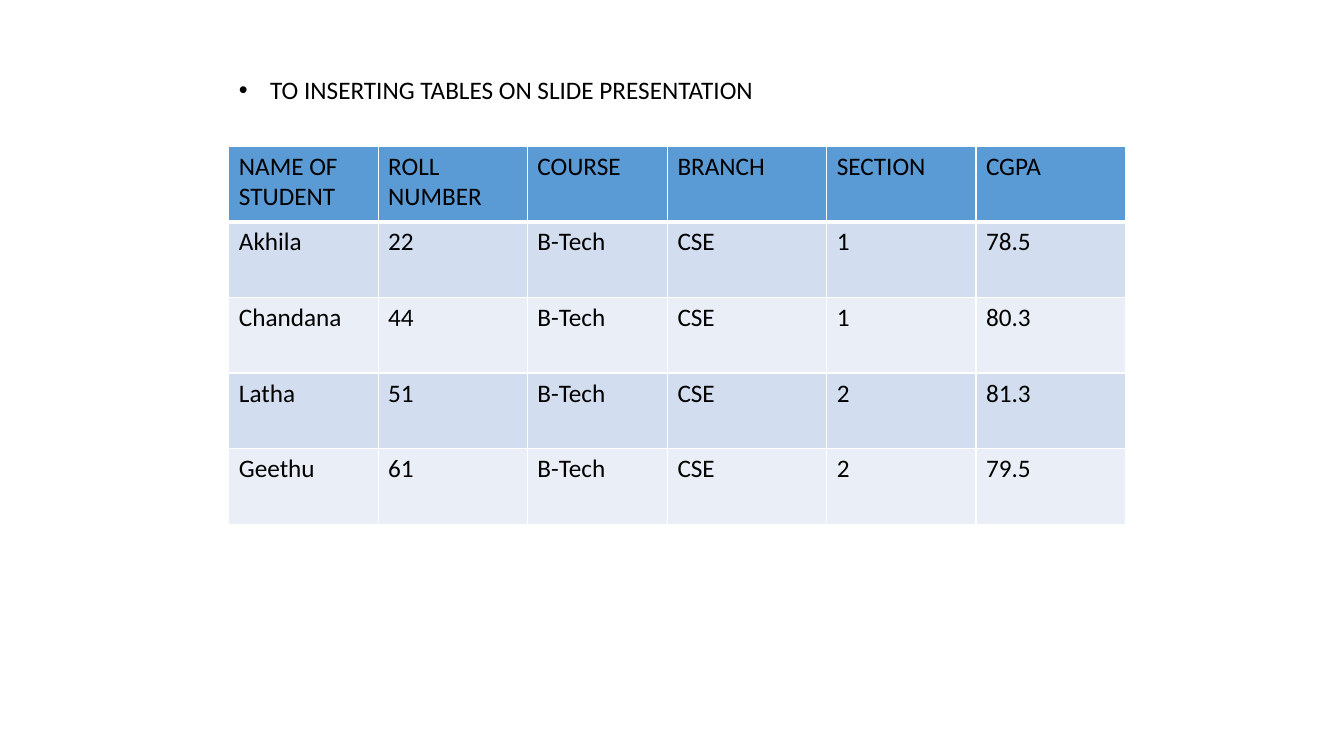
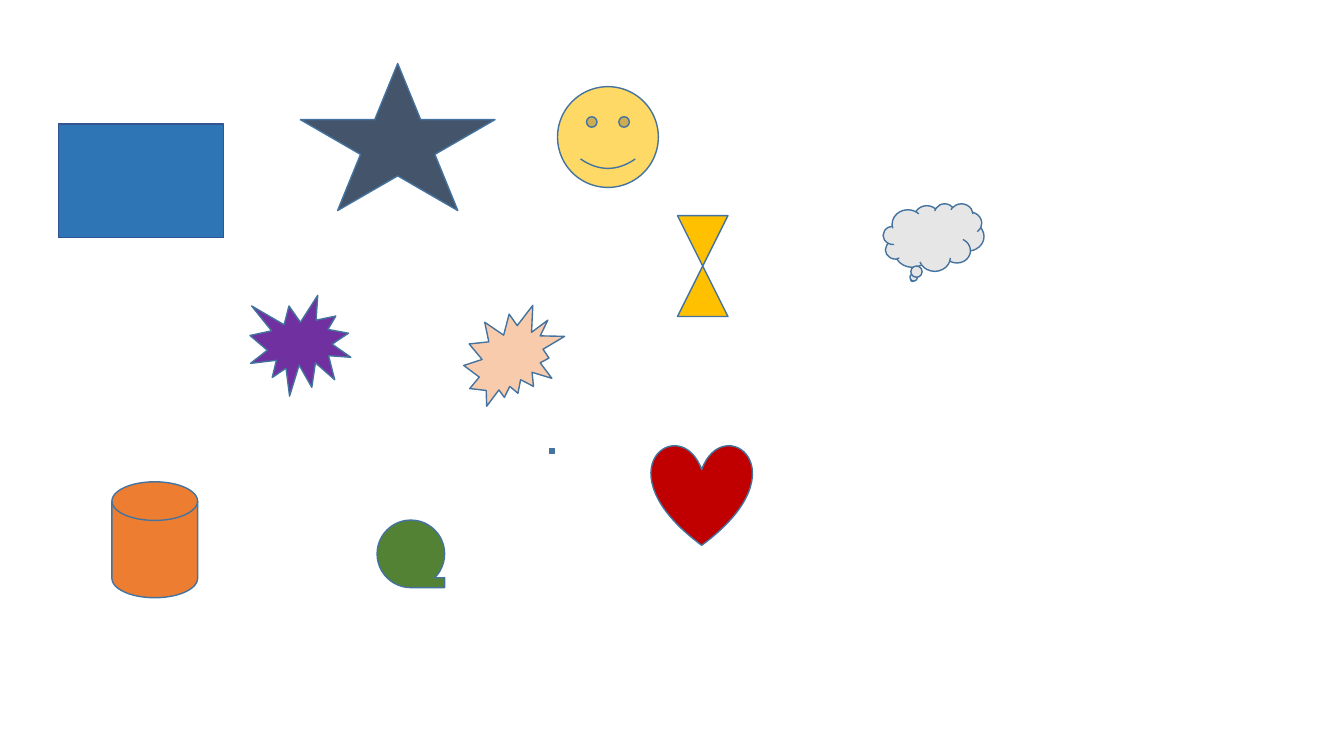
from lxml import etree
from pptx import Presentation
from pptx.dml.color import RGBColor
from pptx.enum.shapes import MSO_SHAPE
from pptx.enum.text import MSO_ANCHOR, MSO_AUTO_SIZE, PP_ALIGN
from pptx.oxml.ns import qn
from pptx.util import Inches, Pt

TITLE_ONLY, BLANK = 5, 6
LEFT, TOP = PP_ALIGN.LEFT, MSO_ANCHOR.TOP

# Shared style
FONT = "Calibri"
TEXT_SIZE = Pt(18)
BLACK = RGBColor(0x00, 0x00, 0x00)
WHITE = RGBColor(0xFF, 0xFF, 0xFF)
BLUE = RGBColor(0x5B, 0x9B, 0xD5)
BAND_DARK = RGBColor(0xD2, 0xDE, 0xEF)
BAND_LIGHT = RGBColor(0xEA, 0xEF, 0xF7)
OUTLINE = RGBColor(0x43, 0x73, 0x9E)
DEEP_OUTLINE = RGBColor(0x32, 0x54, 0x91)
DEEP_BLUE = RGBColor(0x2E, 0x75, 0xB6)
SLATE = RGBColor(0x44, 0x54, 0x6A)
PURPLE = RGBColor(0x70, 0x30, 0xA0)
ORANGE = RGBColor(0xED, 0x7D, 0x31)
GREEN = RGBColor(0x54, 0x82, 0x35)
PEACH = RGBColor(0xF8, 0xCB, 0xAD)
AMBER = RGBColor(0xFF, 0xC0, 0x00)
YELLOW = RGBColor(0xFF, 0xD9, 0x66)
RED = RGBColor(0xC0, 0x00, 0x00)
GREY = RGBColor(0xE7, 0xE6, 0xE6)

# Slide 1 content
TITLE = "TO INSERTING TABLES ON SLIDE PRESENTATION"
TITLE_BOX = (2.27, 0.69, 5.35, 0.4)
BULLET_INDENT = Inches(0.31)
STUDENTS = [
    ("NAME OF STUDENT", "ROLL NUMBER", "COURSE", "BRANCH", "SECTION", "CGPA"),
    ("Akhila", "22", "B-Tech", "CSE", "1", "78.5"),
    ("Chandana", "44", "B-Tech", "CSE", "1", "80.3"),
    ("Latha", "51", "B-Tech", "CSE", "2", "81.3"),
    ("Geethu", "61", "B-Tech", "CSE", "2", "79.5"),
]
TABLE_LEFT, TABLE_TOP = 2.27, 1.45
COLUMN_WIDTHS = (1.48, 1.48, 1.39, 1.58, 1.48, 1.48)
ROW_HEIGHT = 0.75

# Slide 2 content: preset, (left, top, width, height), fill, outline
SHAPES = [
    (MSO_SHAPE.RECTANGLE, (0.58, 1.23, 1.64, 1.13), DEEP_BLUE, DEEP_OUTLINE),
    (MSO_SHAPE.STAR_5_POINT, (2.98, 0.63, 1.93, 1.46), SLATE, OUTLINE),
    (MSO_SHAPE.EXPLOSION1, (2.48, 2.93, 1, 1), PURPLE, OUTLINE),
    (MSO_SHAPE.FLOWCHART_MAGNETIC_DISK, (1.11, 4.78, 0.85, 1.15), ORANGE, OUTLINE),
    (MSO_SHAPE.FLOWCHART_SEQUENTIAL_ACCESS_STORAGE, (3.74, 5.16, 0.67, 0.67), GREEN, OUTLINE),
    (MSO_SHAPE.EXPLOSION2, (4.6, 3.03, 1, 1), PEACH, OUTLINE),
    (MSO_SHAPE.FLOWCHART_COLLATE, (6.72, 2.14, 0.5, 1), AMBER, OUTLINE),
    (MSO_SHAPE.SMILEY_FACE, (5.53, 0.86, 1, 1), YELLOW, OUTLINE),
    (MSO_SHAPE.HEART, (6.46, 4.41, 1, 1), RED, OUTLINE),
    (MSO_SHAPE.ACTION_BUTTON_HOME, (5.45, 4.45, 0.05, 0.05), BLUE, OUTLINE),
    (MSO_SHAPE.CLOUD_CALLOUT, (8.76, 2.02, 1, 0.67), GREY, OUTLINE),
]


def add_text(paragraph, text):
    run = paragraph.add_run()
    run.text = text
    run.font.name = FONT
    run.font.size = TEXT_SIZE
    run.font.bold = False
    run.font.color.rgb = BLACK


def add_title(slide):
    title = slide.shapes.title
    title.left, title.top, title.width, title.height = map(Inches, TITLE_BOX)
    frame = title.text_frame
    frame.word_wrap = False
    frame.auto_size = MSO_AUTO_SIZE.SHAPE_TO_FIT_TEXT
    frame.vertical_anchor = TOP
    paragraph = frame.paragraphs[0]
    paragraph.alignment = LEFT
    add_text(paragraph, TITLE)
    # Bullet with a hanging indent
    properties = paragraph._p.get_or_add_pPr()
    properties.set("marL", str(BULLET_INDENT))
    properties.set("indent", str(-BULLET_INDENT))
    etree.SubElement(properties, qn("a:buFont"), typeface="Arial")
    etree.SubElement(properties, qn("a:buChar"), char="•")


def set_borders(cell, widths):
    properties = cell._tc.get_or_add_tcPr()
    for side, width in widths.items():
        line = etree.SubElement(properties, qn("a:ln" + side), w=str(Pt(width)))
        fill = etree.SubElement(line, qn("a:solidFill"))
        etree.SubElement(fill, qn("a:srgbClr"), val=str(WHITE))


def add_student_table(slide):
    row_count, column_count = len(STUDENTS), len(COLUMN_WIDTHS)
    table = slide.shapes.add_table(
        row_count, column_count, Inches(TABLE_LEFT), Inches(TABLE_TOP),
        Inches(sum(COLUMN_WIDTHS)), Inches(ROW_HEIGHT * row_count)).table
    for column, width in zip(table.columns, COLUMN_WIDTHS):
        column.width = Inches(width)
    for row_index, values in enumerate(STUDENTS):
        table.rows[row_index].height = Inches(ROW_HEIGHT)
        color = BLUE if row_index == 0 else (BAND_LIGHT, BAND_DARK)[row_index % 2]
        # The rule under the header is heavier than the others
        widths = {"L": 1, "R": 1, "T": 3 if row_index == 1 else 1,
                  "B": 3 if row_index == 0 else 1}
        for column_index, value in enumerate(values):
            cell = table.cell(row_index, column_index)
            set_borders(cell, widths)
            cell.fill.solid()
            cell.fill.fore_color.rgb = color
            add_text(cell.text_frame.paragraphs[0], value)


def add_preset(slide, preset, box, fill, outline):
    shape = slide.shapes.add_shape(preset, *map(Inches, box))
    shape.shadow.inherit = False
    shape.fill.solid()
    shape.fill.fore_color.rgb = fill
    shape.line.color.rgb = outline
    shape.line.width = Pt(1)


def main():
    presentation = Presentation()
    presentation.slide_width = Inches(13.33)
    presentation.slide_height = Inches(7.5)
    layouts = presentation.slide_layouts

    # Slide 1: table of students
    table_slide = presentation.slides.add_slide(layouts[TITLE_ONLY])
    add_title(table_slide)
    add_student_table(table_slide)

    # Slide 2: preset shapes
    shapes_slide = presentation.slides.add_slide(layouts[BLANK])
    for preset_shape in SHAPES:
        add_preset(shapes_slide, *preset_shape)

    presentation.save("out.pptx")


if __name__ == "__main__":
    main()
